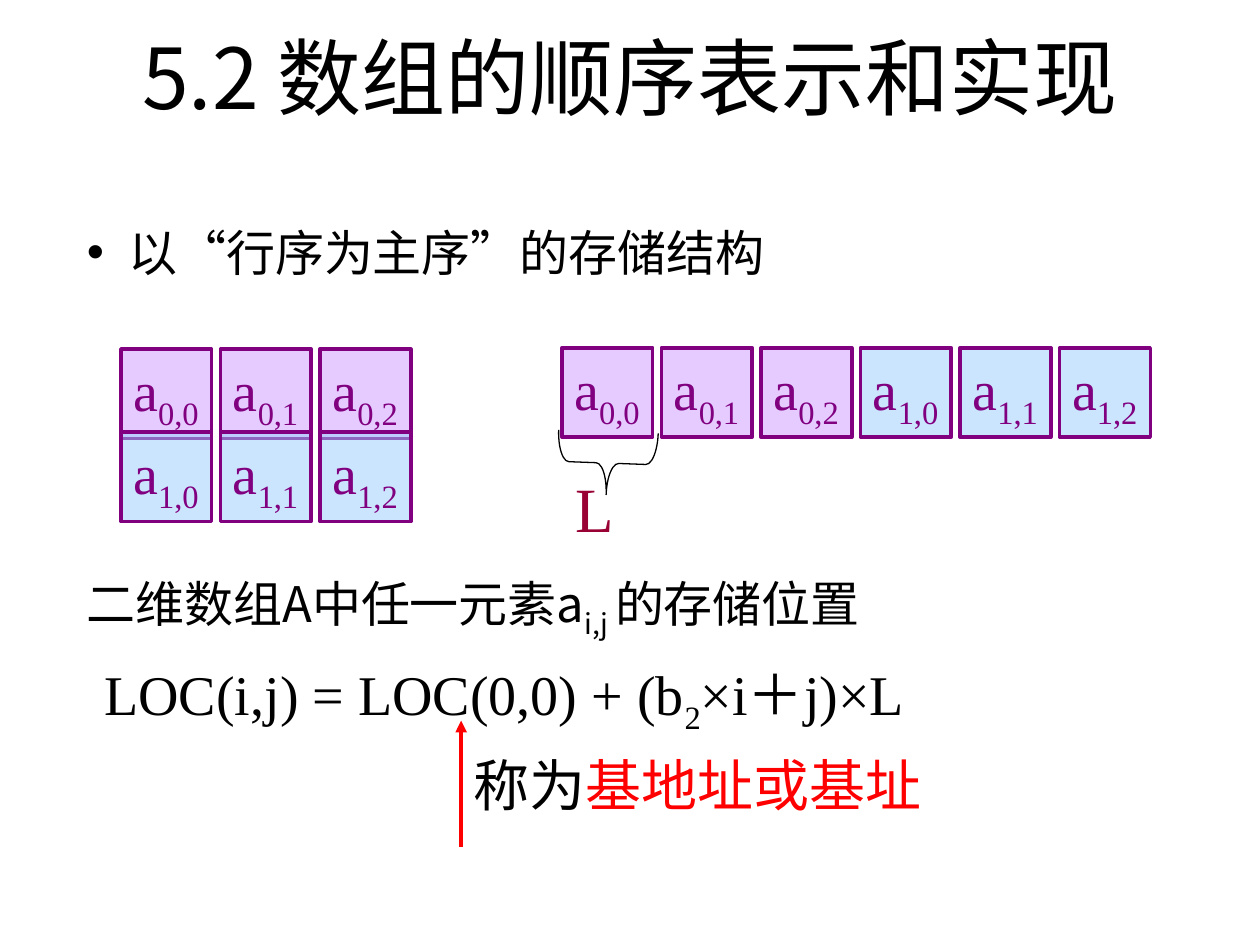
import pptx
import pptx.util
import pptx.dml.color
import pptx.enum.shapes
import pptx.enum.text
import pptx.oxml.ns
from lxml import etree

Inches = pptx.util.Inches
Pt = pptx.util.Pt
SHAPES = pptx.enum.shapes.MSO_SHAPE
ANCHOR = pptx.enum.text.MSO_ANCHOR
qn = pptx.oxml.ns.qn

SANS, SERIF = "Noto Sans CJK SC", "Times New Roman"
BLACK, RED, PURPLE, MAROON = "000000", "FF0000", "800080", "990033"
ROW_FILLS = ["CC99FF", "99CCFF"]
COLUMNS = 3
CELL_WIDTH, CELL_HEIGHT = 0.72, 0.71
COLUMN_STEP, ROW_STEP = 0.79, 0.66
MATRIX_LEFT, MATRIX_TOP = 0.96, 2.77
MEMORY_LEFT, MEMORY_TOP = 4.46, 2.76

TITLE = [("5.2 数组的顺序表示和实现", 48, SANS, BLACK, 0)]
HEADING = [("以“行序为主序”的存储结构", 28, SANS, BLACK, 0)]
LENGTH = [("L", 36, SERIF, MAROON, 0)]
BASE_NOTE = [("称为", 32, SERIF, BLACK, 0), ("基地址或基址", 32, SERIF, RED, 0)]
LOCATION = [
    ("二维数组A中任一元素a", 28, SANS, BLACK, 0),
    ("i,j ", 28, SANS, BLACK, -25),
    ("的存储位置", 28, SANS, BLACK, 0),
]
FORMULA = [
    ("LOC(i,j) = LOC(0,0) + (b", 32, SERIF, BLACK, 0),
    ("2", 32, SERIF, BLACK, -25),
    ("×i＋j)×L", 32, SERIF, BLACK, 0),
]


def color(value):
    return pptx.dml.color.RGBColor.from_string(value)


def write(para, spans, spacing=None, margin=0, indent=0):
    if spacing:
        para.line_spacing = spacing
    properties = para._p.get_or_add_pPr()
    properties.set("marL", str(Inches(margin)))
    properties.set("indent", str(Inches(indent)))
    for text, size, font, ink, baseline in spans:
        span = para.add_run()
        span.text = text
        span.font.size = Pt(size)
        span.font.name = font
        span.font.color.rgb = color(ink)
        run_properties = span._r.get_or_add_rPr()
        etree.SubElement(run_properties, qn("a:ea"), typeface=SANS)
        if baseline:
            run_properties.set("baseline", str(baseline * 1000))
    return properties


def add_text(page, left, top, width, height):
    box = page.shapes.add_textbox(*map(Inches, (left, top, width, height)))
    box.text_frame.word_wrap = True
    return box.text_frame


def add_cell(page, left, top, row, column):
    cell = page.shapes.add_shape(
        SHAPES.RECTANGLE, *map(Inches, (left, top, CELL_WIDTH, CELL_HEIGHT)))
    cell.shadow.inherit = False
    cell.fill.solid()
    cell.fill.fore_color.rgb = color(ROW_FILLS[row])
    tint = cell.fill._xPr.find(".//" + qn("a:srgbClr"))
    etree.SubElement(tint, qn("a:alpha"), val="50000")
    cell.line.color.rgb = color(PURPLE)
    cell.line.width = Pt(2)
    frame = cell.text_frame
    frame.word_wrap = False
    frame.vertical_anchor = ANCHOR.MIDDLE
    para = frame.paragraphs[0]
    para.alignment = pptx.enum.text.PP_ALIGN.LEFT
    write(para, [("a", 32, SERIF, PURPLE, 0),
                 (f"{row},{column}", 32, SERIF, PURPLE, -25)])


def add_brace(page):
    brace = page.shapes.add_shape(
        SHAPES.LEFT_BRACE, *map(Inches, (4.57, 3.28, 0.5, 0.79)))
    brace.rotation = 272.1
    brace.adjustments[0] = 0.18
    brace.shadow.inherit = False
    brace.fill.background()
    brace.line.color.rgb = color(BLACK)
    brace.line.width = Pt(0.75)


def add_arrow(page):
    arrow = page.shapes.add_connector(
        pptx.enum.shapes.MSO_CONNECTOR.STRAIGHT,
        *map(Inches, (3.66, 6.72, 3.66, 5.72)))
    arrow.line.color.rgb = color(RED)
    arrow.line.width = Pt(2.25)
    etree.SubElement(arrow.line._get_or_add_ln(), qn("a:tailEnd"), type="triangle")
    etree.SubElement(arrow._element.spPr, qn("a:effectLst"))


def main():
    deck = pptx.Presentation()
    deck.slide_width, deck.slide_height = Inches(10), Inches(7.5)
    page = deck.slides.add_slide(deck.slide_layouts[5])

    title = page.shapes.title
    title.left, title.top, title.width, title.height = map(
        Inches, (0.5, 0.13, 9, 0.95))
    title.text_frame.vertical_anchor = ANCHOR.MIDDLE
    write(title.text_frame.paragraphs[0], TITLE)

    heading = add_text(page, 0.59, 1.62, 8.98, 0.8)
    properties = write(heading.paragraphs[0], HEADING, 1.2, 0.33, -0.33)
    etree.SubElement(properties, qn("a:buFont"), typeface="Arial")
    etree.SubElement(properties, qn("a:buChar"), char="•")

    for row in range(len(ROW_FILLS)):
        for column in range(COLUMNS):
            add_cell(page, MATRIX_LEFT + column * COLUMN_STEP,
                     MATRIX_TOP + row * ROW_STEP, row, column)
            add_cell(page, MEMORY_LEFT + (row * COLUMNS + column) * COLUMN_STEP,
                     MEMORY_TOP, row, column)

    add_brace(page)
    write(add_text(page, 4.47, 3.68, 0.64, 0.7).paragraphs[0], LENGTH)
    write(add_text(page, 3.66, 5.91, 3.76, 0.64).paragraphs[0], BASE_NOTE)
    location = add_text(page, 0.16, 4.37, 7.71, 1.53)
    write(location.paragraphs[0], LOCATION, 1.25, 0.43)
    write(location.add_paragraph(), FORMULA, 1.25, 0.57)
    add_arrow(page)

    deck.save("out.pptx")


if __name__ == "__main__":
    main()
